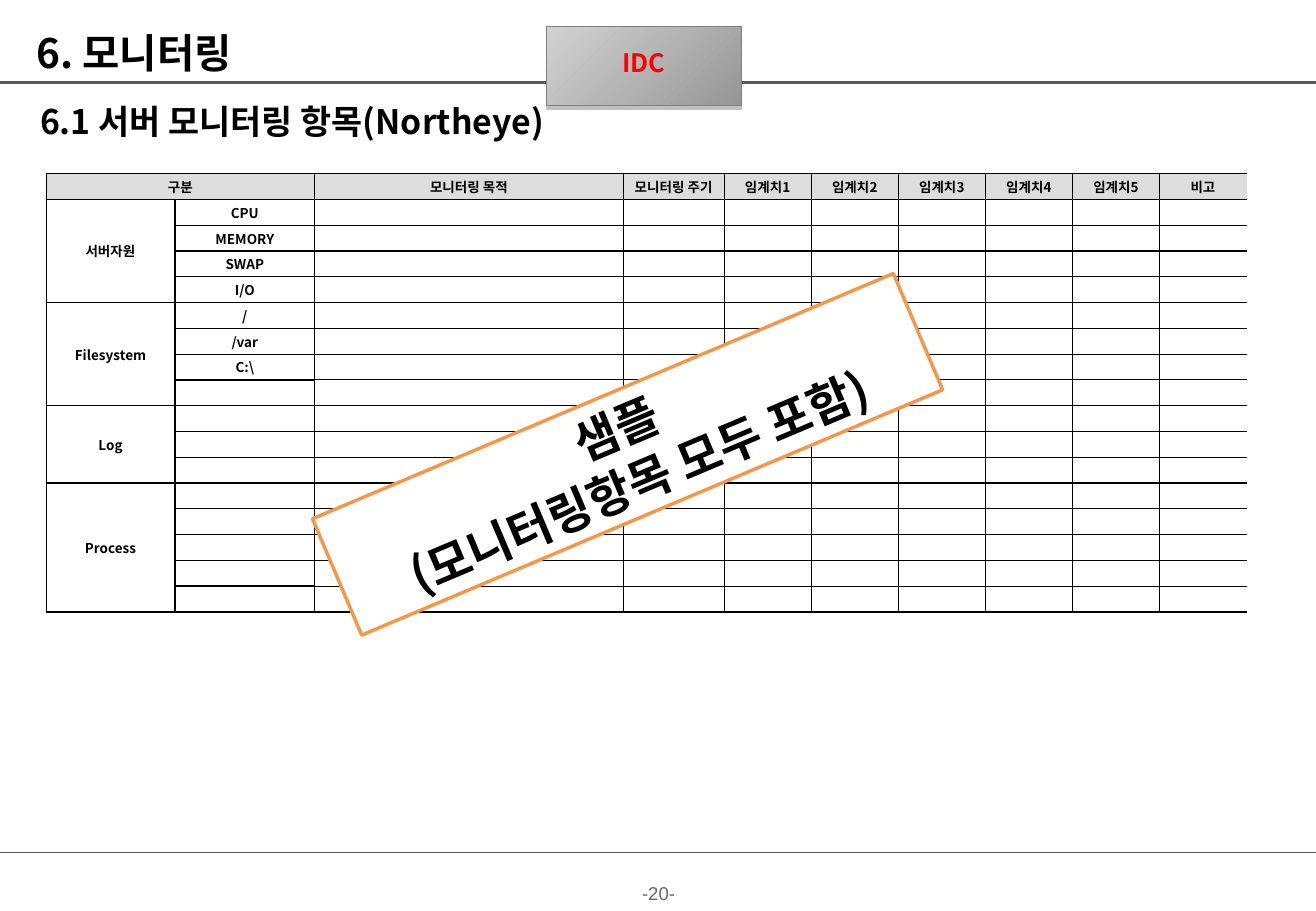
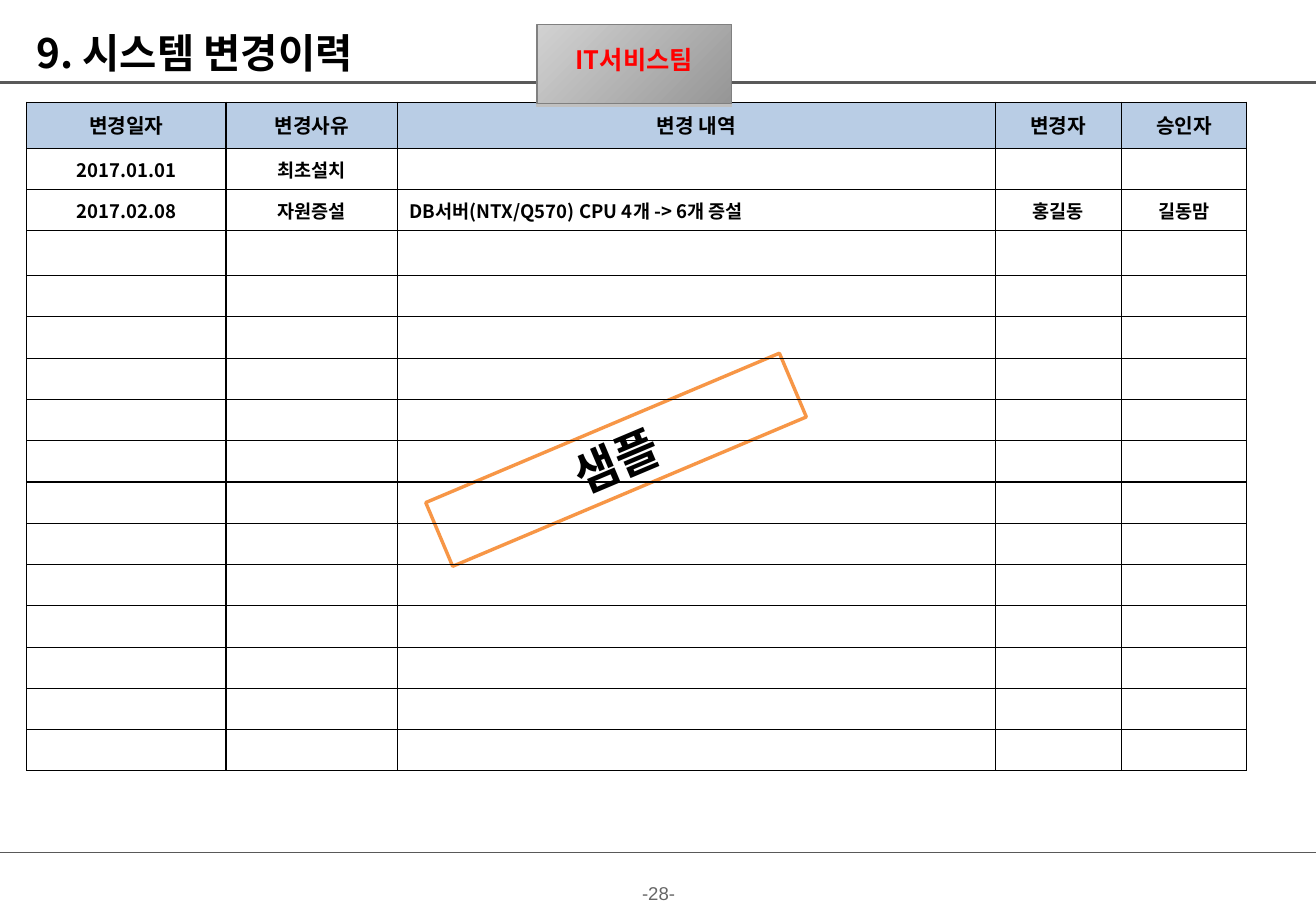
"""Builds two slides of a system operations document: monitoring items and change history."""
from lxml.etree import SubElement
from pptx import Presentation
from pptx.dml.color import RGBColor
from pptx.enum.shapes import MSO_CONNECTOR, MSO_SHAPE
from pptx.enum.text import MSO_ANCHOR, PP_ALIGN
from pptx.oxml.ns import qn
from pptx.util import Emu, Pt

SCALE = 9144
WIDTH, HEIGHT = 1083, 750
FONT = "Noto Sans CJK KR"
COLORS = {
    "text": "000000", "alert": "FF0000", "page": "666666", "rule": "595959",
    "paper": "FFFFFF", "stamp": "F79646", "badge_light": "D2D2D2",
    "badge_dark": "969696", "badge_line": "808080", "shadow": "C0C0C0",
    "gray_head": "DDDDDD", "blue_head": "B9CDE5",
}


def px(length):
    return Emu(round(length * SCALE))


def rgb(name):
    return RGBColor.from_string(COLORS[name])


class Deck:
    def __init__(self):
        self.presentation = Presentation()
        self.presentation.slide_width = px(WIDTH)
        self.presentation.slide_height = px(HEIGHT)
        self.slide = None

    def new_slide(self, title, page):
        self.slide = self.presentation.slides.add_slide(self.presentation.slide_layouts[6])
        self.rule(68, 2)
        self.rule(702, 0.25)
        self.text(526, 726, 32, 19, f"-{page}-", 11, "page", "Arial", False, PP_ALIGN.CENTER)
        self.heading(30, 20, title, 24)

    def heading(self, left, top, text, size):
        self.text(left, top, 1023, 46, text, size)

    def fill_text(self, text_frame, text, size, color="text", font=FONT, bold=True,
                  align=PP_ALIGN.LEFT, spacing=None):
        text_frame.text = text
        for paragraph in text_frame.paragraphs:
            paragraph.alignment = align
            if spacing:
                paragraph.line_spacing = Pt(spacing)
            for run in paragraph.runs:
                run.font.size = Pt(size)
                run.font.bold = bold
                run.font.color.rgb = rgb(color)
                run.font.name = font
                SubElement(run._r.get_or_add_rPr(), qn("a:ea"), typeface=font)
            if not paragraph.runs:
                SubElement(paragraph._p, qn("a:endParaRPr"), sz=str(size * 100))

    def frame(self, text_frame, inset_x, inset_y):
        text_frame.word_wrap = True
        text_frame.vertical_anchor = MSO_ANCHOR.MIDDLE
        text_frame.margin_left = text_frame.margin_right = px(inset_x)
        text_frame.margin_top = text_frame.margin_bottom = px(inset_y)

    def text(self, left, top, width, height, text, size, *style):
        box = self.slide.shapes.add_textbox(px(left), px(top), px(width), px(height))
        self.frame(box.text_frame, 0, 0)
        self.fill_text(box.text_frame, text, size, *style)

    def rule(self, top, weight):
        line = self.slide.shapes.add_connector(
            MSO_CONNECTOR.STRAIGHT, 0, px(top), px(WIDTH), px(top))
        line.line.color.rgb = rgb("rule")
        line.line.width = Pt(weight)
        SubElement(line._element.spPr, qn("a:effectLst"))

    def box(self, left, top, width, height, line_color, weight):
        shape = self.slide.shapes.add_shape(
            MSO_SHAPE.RECTANGLE, px(left), px(top), px(width), px(height))
        shape.shadow.inherit = False
        shape.line.color.rgb = rgb(line_color)
        shape.line.width = Pt(weight)
        return shape

    def stamp(self, left, top, width, height, text):
        shape = self.box(left, top, width, height, "stamp", 2)
        shape.rotation = 337.1
        shape.fill.solid()
        shape.fill.fore_color.rgb = rgb("paper")
        self.frame(shape.text_frame, 10, 5)
        self.fill_text(shape.text_frame, text, 28, align=PP_ALIGN.CENTER, spacing=34)

    def badge(self, left, top, text):
        shape = self.box(left, top, 160, 65, "badge_line", 0.75)
        shape.fill.gradient()
        shape.fill.gradient_angle = 315
        for stop, color in zip(shape.fill.gradient_stops, ("badge_light", "badge_dark")):
            stop.color.rgb = rgb(color)
        effects = shape._element.spPr.find(qn("a:effectLst"))
        shadow = SubElement(effects, qn("a:outerShdw"), dist=str(Pt(2)), dir="5400000",
                            algn="ctr", rotWithShape="0")
        SubElement(shadow, qn("a:srgbClr"), val=COLORS["shadow"])
        self.frame(shape.text_frame, 0, 5)
        self.fill_text(shape.text_frame, text, 15, "alert", align=PP_ALIGN.CENTER, spacing=13)

    def table(self, left, top, columns, rows):
        shape = self.slide.shapes.add_table(
            len(rows), len(columns), px(left), px(top), px(sum(columns)), px(sum(rows)))
        table = shape.table
        table.first_row = table.horz_banding = False
        for column, width in zip(table.columns, columns):
            column.width = px(width)
        for row, height in zip(table.rows, rows):
            row.height = px(height)
        return table

    def cell(self, cell, text, size, fill=None, insets=(10, 5), align=PP_ALIGN.CENTER, **weights):
        cell.vertical_anchor = MSO_ANCHOR.MIDDLE
        cell.margin_left = cell.margin_right = px(insets[0])
        cell.margin_top = cell.margin_bottom = px(insets[1])
        self.fill_text(cell.text_frame, text, size, align=align)
        properties = cell._tc.get_or_add_tcPr()
        for side in "LRTB":
            weight = weights.get(side, 0.75)
            line = SubElement(properties, qn(f"a:ln{side}"), w=str(Pt(weight)))
            if weight:
                color = SubElement(line, qn("a:solidFill"))
                SubElement(color, qn("a:srgbClr"), val=COLORS["text"])
            else:
                SubElement(line, qn("a:noFill"))
        if fill:
            cell.fill.solid()
            cell.fill.fore_color.rgb = rgb(fill)
        else:
            cell.fill.background()


def monitoring_slide(deck):
    deck.new_slide("6. 모니터링", 20)
    deck.heading(33, 77, "6.1 서버 모니터링 항목(Northeye)", 20)
    header = ["구분", "", "모니터링 목적", "모니터링 주기",
              *(f"임계치{number}" for number in range(1, 6)), "비고"]
    groups = [
        ("서버자원", ["CPU", "MEMORY", "SWAP", "I/O"]),
        ("Filesystem", ["/", "/var", "C:\\", ""]),
        ("Log", [""] * 3),
        ("Process", [""] * 5),
    ]
    contents = [header]
    for group, items in groups:
        contents += [[group if index == 0 else "", item] + [""] * 8
                     for index, item in enumerate(items)]
    count = len(contents)
    table = deck.table(38, 143, [106, 115, 254, 83] + [430 / 6] * 6, [361 / count] * count)
    table.cell(0, 0).merge(table.cell(0, 1))
    start = 1
    for _, items in groups:
        table.cell(start, 0).merge(table.cell(start + len(items) - 1, 0))
        start += len(items)
    for row, texts in enumerate(contents):
        for column, text in enumerate(texts):
            cell = table.cell(row, column)
            if cell.is_spanned:
                continue
            heavy = column < 2 and row >= 8
            deck.cell(cell, text, 8, None if row else "gray_head", (4, 2),
                      T=1 if row == 0 or heavy else 0.75,
                      B=1 if row == count - 1 or heavy else 0.75,
                      R=0 if column == len(header) - 1 else 0.75)
    deck.stamp(257, 322, 519, 104, "샘플\n(모니터링항목 모두 포함)")
    deck.badge(450, 22, "IDC")


def history_slide(deck):
    deck.new_slide("9. 시스템 변경이력", 28)
    deck.stamp(349, 350, 316, 57, "샘플")
    contents = [
        ["변경일자", "변경사유", "변경 내역", "변경자", "승인자"],
        ["2017.01.01", "최초설치", "", "", ""],
        ["2017.02.08", "자원증설", "DB서버(NTX/Q570) CPU 4개 -> 6개 증설", "홍길동", "길동맘"],
    ] + [[""] * 5] * 13
    table = deck.table(22, 84, [164, 141, 492, 104, 103], [38, 34, 34, 37] + [34] * 12)
    for row, texts in enumerate(contents):
        for column, text in enumerate(texts):
            align = PP_ALIGN.LEFT if row and column == 2 else PP_ALIGN.CENTER
            deck.cell(table.cell(row, column), text, 11 if row else 12,
                      None if row else "blue_head", align=align)
    deck.badge(442, 20, "IT서비스팀")


def main():
    deck = Deck()
    monitoring_slide(deck)
    history_slide(deck)
    deck.presentation.save("out.pptx")


if __name__ == "__main__":
    main()
